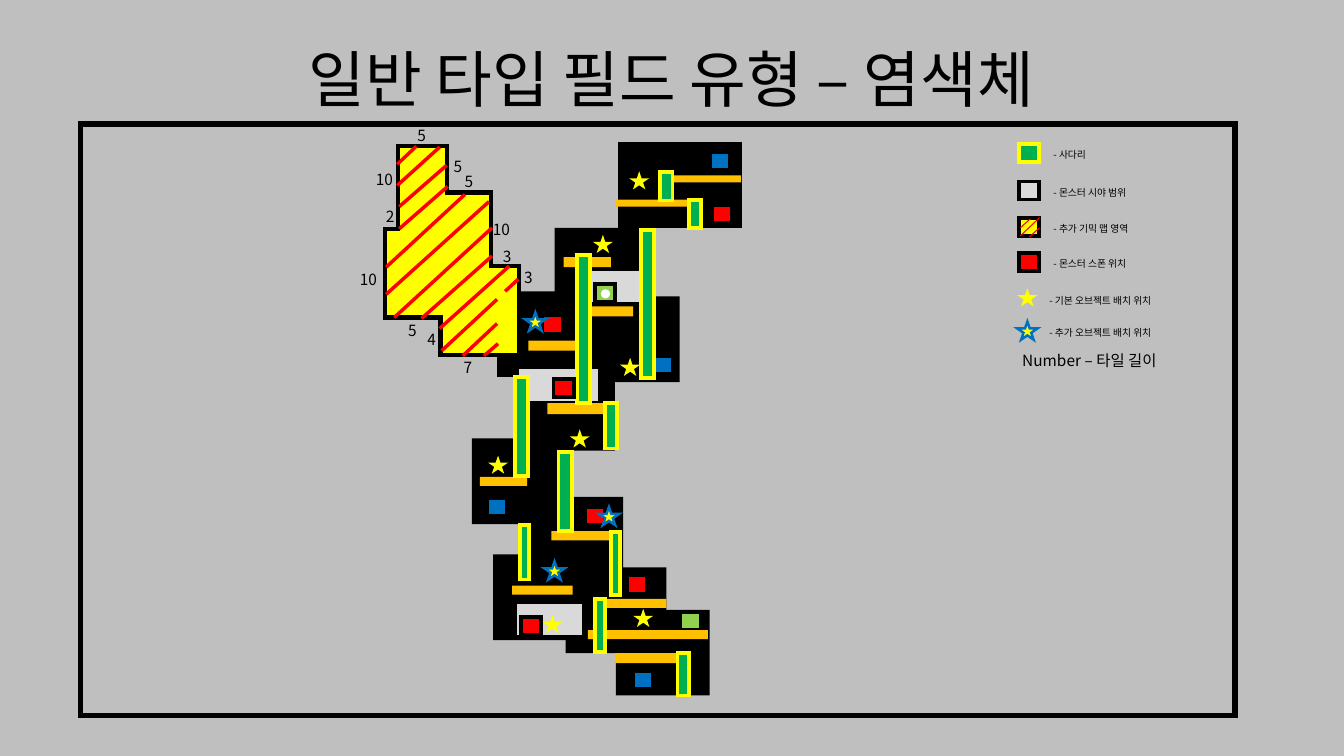
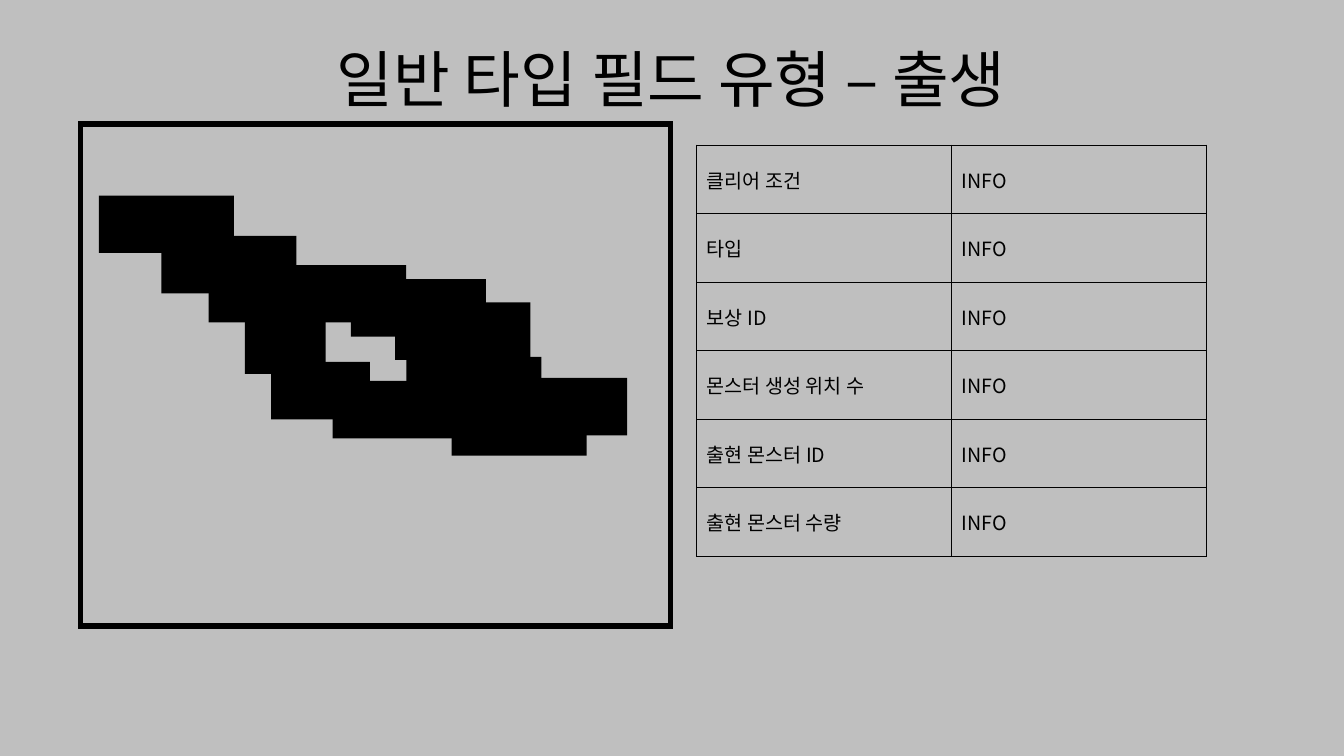
from dataclasses import dataclass
from typing import Optional

from lxml import etree
from pptx import Presentation
from pptx.dml.color import RGBColor
from pptx.enum import shapes, text
from pptx.oxml import ns
from pptx.util import Inches, Pt

FONT = "Noto Sans CJK KR"
COLORS = {
    "backdrop": "BFBFBF", "black": "000000", "sight": "D9D9D9",
    "yellow": "FFFF00", "red": "FF0000", "blue": "0070C0",
    "green": "00B050", "lime": "92D050", "platform": "FFC000",
    "white": "FFFFFF",
}
RECT = shapes.MSO_SHAPE.RECTANGLE
STAR = shapes.MSO_SHAPE.STAR_5_POINT
OVAL = shapes.MSO_SHAPE.OVAL
MARK_SIZE = (0.2, 0.18)


@dataclass(frozen=True)
class Look:
    form: shapes.MSO_SHAPE
    fill: Optional[str]
    line: Optional[str] = None
    weight: float = 2.75


@dataclass(frozen=True)
class Box:
    left: float
    top: float
    width: float
    height: float

    def emu(self) -> tuple:
        return tuple(map(Inches, (self.left, self.top, self.width, self.height)))


@dataclass(frozen=True)
class Legend:
    look: Look
    left: float
    top: float
    label_left: float
    label_top: float
    label: str


ROOM = Look(RECT, "black")
FRAME = Look(RECT, None, "black", 4)
SIGHT = Look(RECT, "sight", "black")
GIMMICK = Look(RECT, "yellow", "black")
LADDER = Look(RECT, "green", "yellow")
SPAWN = Look(RECT, "red", "black")
BLUE_MARK = Look(RECT, "blue", "black")
LIME_MARK = Look(RECT, "lime", "black")
PLATFORM = Look(RECT, "platform")
DOT = Look(OVAL, "white")
BASIC_OBJECT = Look(STAR, "yellow")
EXTRA_OBJECT = Look(STAR, "yellow", "blue", 1.75)


def rgb(name: str) -> RGBColor:
    return RGBColor.from_string(COLORS[name])


def style(shape, look: Look) -> None:
    shape.shadow.inherit = False
    if look.fill:
        shape.fill.solid()
        shape.fill.fore_color.rgb = rgb(look.fill)
    else:
        shape.fill.background()
    if look.line:
        shape.line.color.rgb = rgb(look.line)
        shape.line.width = Pt(look.weight)
        outline = shape.element.spPr.find(ns.qn("a:ln"))
        etree.SubElement(outline, ns.qn("a:miter"), lim="800000")
    else:
        shape.line.fill.background()


def draw(canvas, look: Look, boxes: list[tuple]) -> None:
    for box in boxes:
        style(canvas.add_shape(look.form, *Box(*box).emu()), look)


def mark(canvas, look: Look, corners: list[tuple]) -> None:
    draw(canvas, look, [corner + MARK_SIZE for corner in corners])


def set_font(paragraph, size: float) -> None:
    paragraph.font.size = Pt(size)
    paragraph.font.name = FONT
    paragraph.font.color.rgb = rgb("black")
    defaults = paragraph._p.pPr.find(ns.qn("a:defRPr"))
    etree.SubElement(defaults, ns.qn("a:ea"), typeface=FONT)


def write(slide, words: str, box: Box, size: float, wrap: bool = True):
    frame = slide.shapes.add_textbox(*box.emu()).text_frame
    frame.word_wrap = wrap
    frame.auto_size = text.MSO_AUTO_SIZE.SHAPE_TO_FIT_TEXT
    frame.text = words
    set_font(frame.paragraphs[0], size)
    return frame


def hatch(slide, strokes: list[tuple], weight: float) -> None:
    for stroke in strokes:
        stripe = slide.shapes.add_connector(
            shapes.MSO_CONNECTOR.STRAIGHT, *map(Inches, stroke))
        stripe.line.color.rgb = rgb("red")
        stripe.line.width = Pt(weight)
        etree.SubElement(stripe.element.spPr, ns.qn("a:effectLst"))


def start_slide(deck, field: str):
    slide = deck.slides.add_slide(deck.slide_layouts[6])
    slide.background.fill.solid()
    slide.background.fill.fore_color.rgb = rgb("backdrop")
    title = write(slide, f"일반 타입 필드 유형 – {field}",
                  Box(0.29, 0.2, 12.74, 1.24), 44)
    title.auto_size = text.MSO_AUTO_SIZE.NONE
    title.vertical_anchor = text.MSO_ANCHOR.MIDDLE
    title.paragraphs[0].alignment = text.PP_ALIGN.CENTER
    title.paragraphs[0].line_spacing = 0.9
    return slide


def draw_gimmick_area(slide) -> None:
    corners = [
        (3.95, 1.45), (4.43, 1.45), (4.43, 1.91), (4.87, 1.91),
        (4.87, 2.64), (5.15, 2.64), (5.15, 3.52), (4.37, 3.52),
        (4.37, 3.15), (3.82, 3.15), (3.82, 2.27), (3.95, 2.27),
    ]
    points = [(Inches(x), Inches(y)) for x, y in corners]
    outline = slide.shapes.build_freeform(*points[0])
    outline.add_line_segments(points[1:], close=True)
    style(outline.convert_to_shape(), Look(RECT, "yellow", "black", 3))


def draw_legend(slide) -> None:
    entries = [
        Legend(LADDER, 10.11, 1.43, 10.35, 1.43, "사다리"),
        Legend(SIGHT, 10.11, 1.8, 10.35, 1.8, "몬스터 시야 범위"),
        Legend(GIMMICK, 10.11, 2.16, 10.35, 2.16, "추가 기믹 맵 영역"),
        Legend(SPAWN, 10.11, 2.51, 10.35, 2.51, "몬스터 스폰 위치"),
        Legend(BASIC_OBJECT, 10.09, 2.86, 10.31, 2.87, "기본 오브젝트 배치 위치"),
        Legend(EXTRA_OBJECT, 10.09, 3.19, 10.31, 3.19, "추가 오브젝트 배치 위치"),
    ]
    for entry in entries:
        mark(slide.shapes, entry.look, [(entry.left, entry.top)])
        write(slide, f"- {entry.label}",
              Box(entry.label_left, entry.label_top, 1.61, 0.22), 7)
    hatch(slide, [(10.22, 2.17, 10.12, 2.26), (10.31, 2.26, 10.21, 2.35),
                  (10.31, 2.16, 10.12, 2.34)], 0.75)
    write(slide, "Number – 타일 길이", Box(10.04, 3.43, 1.63, 0.29), 11, False)


def build_chromosome(deck) -> None:
    slide = start_slide(deck, "염색체")
    canvas = slide.shapes
    draw(canvas.add_group_shape().shapes, ROOM, [
        (6.13, 1.41, 1.23, 0.85), (5.5, 2.26, 1, 0.85), (5.74, 2.94, 1, 0.85),
        (5.1, 3.62, 1, 0.85), (4.68, 4.35, 1, 0.85), (5.18, 4.93, 1, 0.85),
        (5.61, 5.63, 1, 0.85), (6.11, 6.05, 0.93, 0.85),
        (4.93, 2.89, 0.93, 0.85), (4.89, 5.5, 1, 0.85),
    ])
    draw(canvas, SIGHT, [(5.13, 3.64, 0.82, 0.36), (5.79, 2.67, 0.68, 0.35),
                         (5.11, 5.97, 0.68, 0.35)])
    draw_gimmick_area(slide)
    draw(canvas, FRAME, [(0.8, 1.23, 11.45, 5.87)])
    mark(canvas, BLUE_MARK, [(7.04, 1.51), (6.47, 3.53), (4.83, 4.94), (6.28, 6.66)])
    mark(canvas, LIME_MARK, [(6.75, 6.07), (5.9, 2.82)])
    draw(canvas, DOT, [(5.96, 2.87, 0.09, 0.09)])
    draw(canvas, PLATFORM, [
        (6.63, 1.74, 0.72, 0.07), (6.11, 1.98, 0.72, 0.07),
        (5.59, 2.55, 0.47, 0.1), (5.81, 3.04, 0.47, 0.1),
        (5.24, 3.38, 0.48, 0.1), (5.43, 4, 0.6, 0.11),
        (4.76, 4.73, 0.47, 0.09), (5.47, 5.27, 0.6, 0.09),
        (5.08, 5.81, 0.6, 0.09), (6.01, 5.94, 0.6, 0.09),
        (5.83, 6.25, 1.19, 0.09), (6.1, 6.48, 0.63, 0.1),
    ])
    draw_legend(slide)
    draw(canvas, LADDER, [
        (6.36, 2.28, 0.13, 1.47), (5.11, 3.74, 0.13, 0.98),
        (5.54, 4.48, 0.13, 0.79), (6.83, 1.98, 0.12, 0.28),
        (6.55, 1.71, 0.12, 0.28), (6.72, 6.48, 0.11, 0.42),
        (5.16, 5.21, 0.09, 0.54), (6.06, 5.28, 0.09, 0.62),
        (5.9, 5.94, 0.1, 0.53), (5.72, 2.53, 0.13, 1.47),
        (6, 4, 0.12, 0.45),
    ])
    mark(canvas, SPAWN, [(5.17, 6.12), (5.8, 5.03), (7.06, 2.03),
                         (5.38, 3.13), (5.49, 3.76), (6.22, 5.71)])
    mark(canvas, BASIC_OBJECT, [(5.38, 6.1), (6.28, 6.04), (4.84, 4.52), (5.88, 2.33),
                                (6.24, 1.7), (6.15, 3.55), (5.65, 4.26)])
    mark(canvas, EXTRA_OBJECT, [(5.4, 5.57), (5.21, 3.1), (5.94, 5.03)])
    hatch(slide, [
        (4.13, 1.45, 3.94, 1.63), (4.36, 1.46, 3.94, 1.84),
        (4.43, 1.64, 3.96, 2.05), (4.44, 1.85, 3.96, 2.27),
        (4.61, 1.93, 3.83, 2.65), (4.85, 2, 3.83, 2.92),
        (4.88, 2.26, 3.91, 3.15), (4.88, 2.54, 4.18, 3.16),
        (5.05, 2.64, 4.36, 3.26), (4.93, 2.97, 4.38, 3.48),
        (5.14, 2.77, 5.01, 2.89), (4.93, 3.21, 4.59, 3.53),
        (4.94, 3.41, 4.8, 3.53),
    ], 2.5)
    tile_lengths = [
        (5, 4.04, 1.2), (10, 3.63, 1.64), (2, 3.73, 2.01), (10, 3.47, 2.63),
        (5, 3.95, 3.14), (5, 4.51, 1.66), (10, 4.79, 2.13), (5, 4.4, 1.51),
        (3, 4.89, 2.4), (3, 5.1, 2.61), (4, 4.14, 3.23), (7, 4.5, 3.5),
    ]
    for length, left, top in tile_lengths:
        width = 0.37 if length >= 10 else 0.29
        write(slide, str(length), Box(left, top, width, 0.29), 11, False)


def add_borders(cell) -> None:
    properties = cell._tc.get_or_add_tcPr()
    for position, side in enumerate(("lnL", "lnR", "lnT", "lnB")):
        border = etree.Element(ns.qn(f"a:{side}"), w=str(Pt(1)))
        paint = etree.SubElement(border, ns.qn("a:solidFill"))
        etree.SubElement(paint, ns.qn("a:srgbClr"), val=COLORS["black"])
        properties.insert(position, border)


def draw_field_info(slide) -> None:
    conditions = ["클리어 조건", "타입", "보상 ID", "몬스터 생성 위치 수",
                  "출현 몬스터 ID", "출현 몬스터 수량"]
    info = slide.shapes.add_table(
        len(conditions), 2, *Box(6.91, 1.44, 5.06, 4.08).emu()).table
    info.first_row = False
    info.horz_banding = False
    for row, condition in enumerate(conditions):
        for column, words in enumerate((condition, "INFO")):
            cell = info.cell(row, column)
            cell.text = words
            cell.vertical_anchor = text.MSO_ANCHOR.MIDDLE
            cell.fill.background()
            set_font(cell.text_frame.paragraphs[0], 14)
            add_borders(cell)


def build_birth(deck) -> None:
    slide = start_slide(deck, "출생")
    draw_field_info(slide)
    draw(slide.shapes, FRAME, [(0.8, 1.23, 5.85, 4.98)])
    rooms = [
        (0.98, 1.94, 1.34), (1.6, 2.34, 1.34), (2.43, 3.14, 0.8),
        (2.07, 2.63, 1.96), (3.3, 3.78, 1.34), (3.92, 3, 1.34),
        (4.03, 3.54, 1.34), (4.48, 3.95, 1.34), (4.88, 3.75, 1.34),
        (3.48, 2.77, 1.34), (2.69, 3.59, 0.98),
    ]
    draw(slide.shapes.add_group_shape().shapes, ROOM,
         [room + (0.57,) for room in rooms])


def main() -> None:
    deck = Presentation()
    deck.slide_width = Inches(13.33)
    deck.slide_height = Inches(7.5)
    build_chromosome(deck)
    build_birth(deck)
    deck.save("out.pptx")


main()
